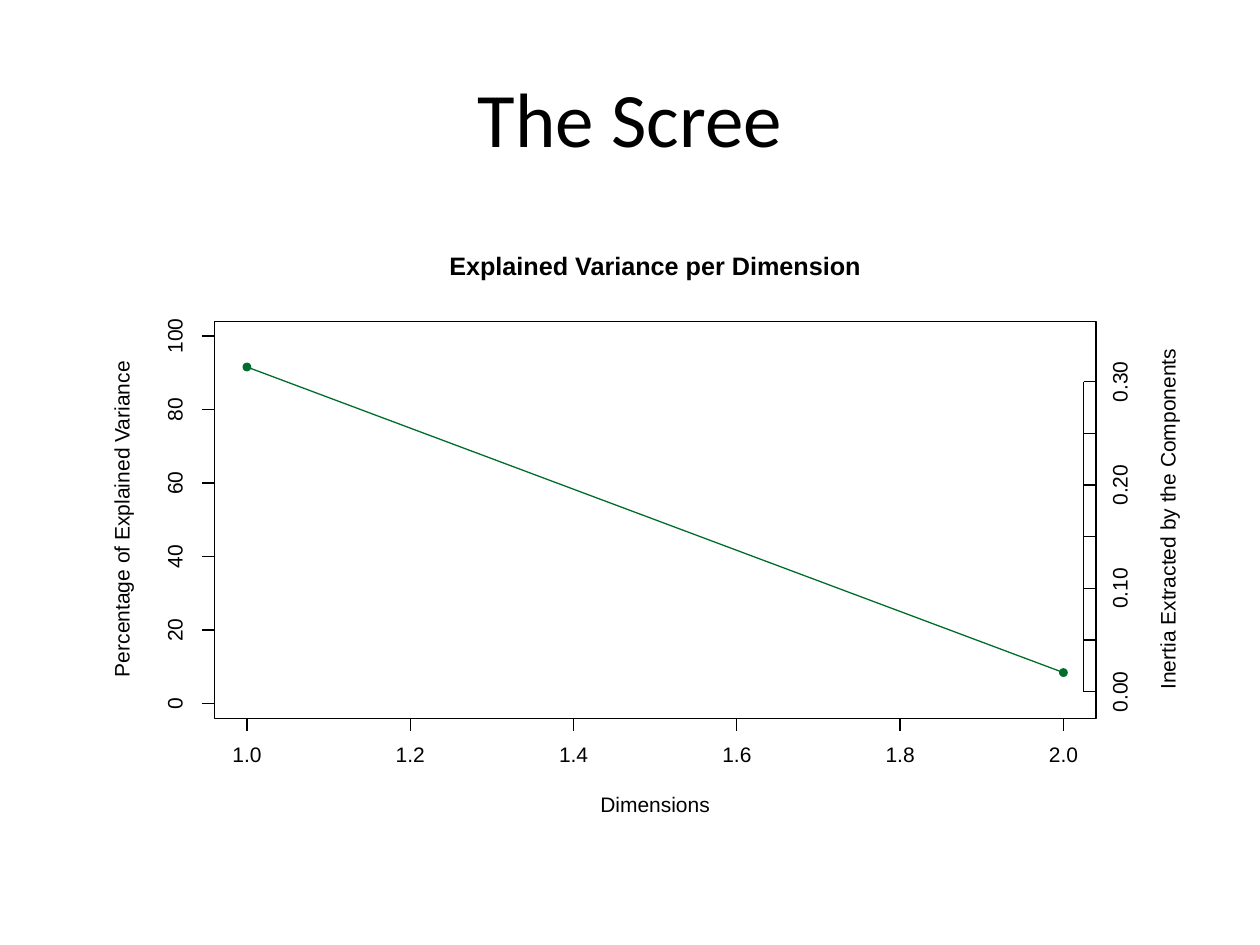
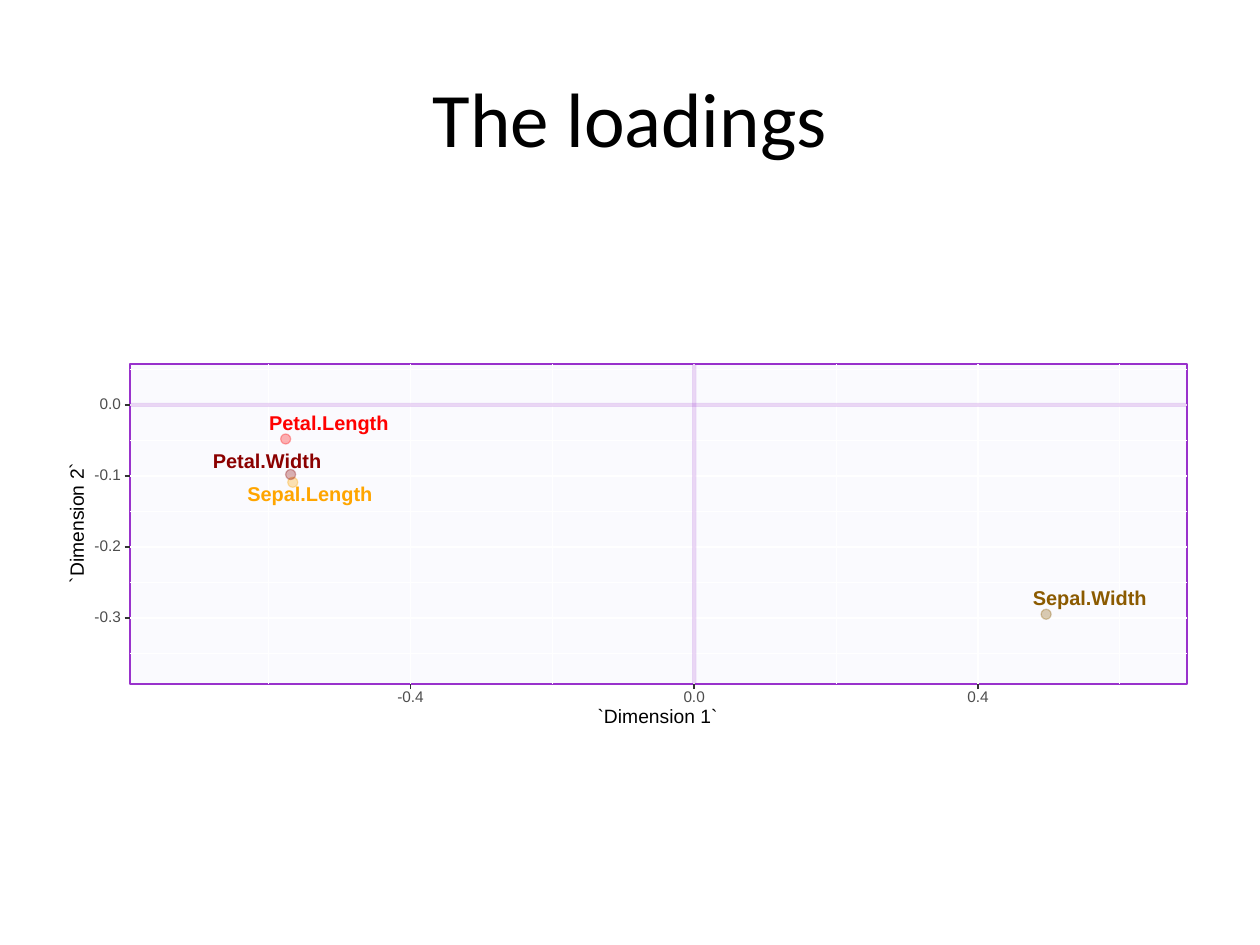
import pptx
import pptx.dml.color
import pptx.enum.shapes
import pptx.enum.text
import pptx.oxml.ns
import pptx.util
import lxml.etree

SCALE = 9144  # EMU in one px, 100 px to the inch
SLACK = 6  # spare px in a label's width, so that it stays on one line
BLACK, WHITE = "000000", "FFFFFF"
GREEN, PURPLE, PALE = "006D2C", "9932CC", "E6E6FA"
GREY, DARK = "4D4D4D", "333333"
SHAPE = pptx.enum.shapes.MSO_SHAPE
ALIGN = pptx.enum.text.PP_ALIGN
ANCHOR = pptx.enum.text.MSO_ANCHOR


# Units and colours
def px(num):
    return pptx.util.Emu(round(num * SCALE))


def color(code):
    return pptx.dml.color.RGBColor.from_string(code)


def fade(part, share):
    """Make every colour inside part show at the given percent."""
    for node in part.iter(pptx.oxml.ns.qn("a:srgbClr")):
        alpha = lxml.etree.SubElement(node, pptx.oxml.ns.qn("a:alpha"))
        alpha.set("val", str(share * 1000))


# Kinds of element
def write(para, text, size, code, bold=False, font="Arial"):
    run = para.add_run()
    run.text = text
    run.font.size = pptx.util.Pt(size)
    run.font.name = font
    run.font.bold = bold
    run.font.color.rgb = color(code)


def start(deck, text):
    """Add a slide with its title."""
    slide = deck.slides.add_slide(deck.slide_layouts[5])
    title = slide.shapes.title
    title.left, title.top, title.width, title.height = map(px, (50, 30, 900, 125))
    title.text_frame.vertical_anchor = ANCHOR.MIDDLE
    para = title.text_frame.paragraphs[0]
    para.alignment = ALIGN.CENTER
    write(para, text, 44, BLACK, font="Calibri")
    return slide


def label(slide, mid, wide, text, size, code=BLACK, bold=False, turn=0, high=12):
    """Put one line of text round the point mid."""
    wide += SLACK
    box = slide.shapes.add_textbox(px(mid[0] - wide / 2), px(mid[1] - high / 2),
                                   px(wide), px(high))
    box.rotation = turn
    frame = box.text_frame
    frame.word_wrap = False
    frame.vertical_anchor = ANCHOR.MIDDLE
    frame.margin_left = frame.margin_right = 0
    frame.margin_top = frame.margin_bottom = 0
    para = frame.paragraphs[0]
    para.alignment = ALIGN.CENTER
    para.line_spacing = pptx.util.Pt(size)
    write(para, text, size, code, bold)


def span(text, size):
    """Width of a number in px, from the widths of Arial."""
    ems = sum({".": 0.278, "-": 0.333}.get(sign, 0.556) for sign in text)
    return ems * size * 100 / 72


def line(slide, head, tail, code=BLACK, width=0.75, share=100):
    link = slide.shapes.add_connector(pptx.enum.shapes.MSO_CONNECTOR.STRAIGHT,
                                      px(head[0]), px(head[1]), px(tail[0]), px(tail[1]))
    link.line.color.rgb = color(code)
    link.line.width = pptx.util.Pt(width)
    props = link._element.spPr
    lxml.etree.SubElement(props, pptx.oxml.ns.qn("a:effectLst"))
    if share < 100:
        fade(props, share)


def paint(slide, kind, area, fill=None, edge=None, width=0.75):
    shape = slide.shapes.add_shape(kind, *map(px, area))
    shape.shadow.inherit = False
    if fill:
        shape.fill.solid()
        shape.fill.fore_color.rgb = color(fill)
    else:
        shape.fill.background()
    if edge:
        shape.line.color.rgb = color(edge)
        shape.line.width = pptx.util.Pt(width)
    else:
        shape.line.fill.background()
    return shape


def dot(slide, mid, size, fill, edge=None, width=0.75):
    area = (mid[0] - size / 2, mid[1] - size / 2, size, size)
    return paint(slide, SHAPE.OVAL, area, fill, edge, width)


def across(slide, area, spot, **style):
    line(slide, (area[0], spot), (area[0] + area[2], spot), **style)


def upright(slide, area, spot, **style):
    line(slide, (spot, area[1] + area[3]), (spot, area[1]), **style)


# Scree slide
def scree(deck):
    slide = start(deck, "The Scree")
    left, top, wide, high = area = (170, 255, 700, 315)
    right, foot, tick = left + wide, top + high, 10

    def place(dim, share):
        return 196 + 648 * (dim - 1), 558.3 - 2.915 * share

    # Curve
    points = [place(1, 91.6), place(2, 8.4)]
    line(slide, *points, code=GREEN)
    for point in points:
        dot(slide, point, 7, GREEN)

    # Dimension axis
    line(slide, (place(1, 0)[0], foot), (place(2, 0)[0], foot))
    for step in range(6):
        dim = 1 + step / 5
        spot = place(dim, 0)[0]
        text = f"{dim:.1f}"
        line(slide, (spot, foot), (spot, foot + tick))
        label(slide, (spot, 600), span(text, 12), text, 12)

    # Percentage axis
    line(slide, (left, place(1, 0)[1]), (left, place(1, 100)[1]))
    for share in range(0, 101, 20):
        spot = place(1, share)[1]
        text = str(share)
        line(slide, (left, spot), (left - tick, spot))
        label(slide, (140, spot), span(text, 12), text, 12, turn=270)

    # Inertia axis, with a number at every other tick
    base, gap = 549, 41
    line(slide, (right - tick, base), (right - tick, base - 6 * gap))
    for step in range(7):
        spot = base - step * gap
        line(slide, (right - tick, spot), (right, spot))
        if step % 2 == 0:
            text = f"{step / 20:.2f}"
            label(slide, (890, spot), span(text, 12), text, 12, turn=270)

    # Frame and names
    paint(slide, SHAPE.RECTANGLE, area, edge=BLACK)
    label(slide, (520, 213), 328, "Explained Variance per Dimension", 14.4,
          bold=True, high=19)
    label(slide, (520, 640), 87, "Dimensions", 12)
    for spot, size, text in ((98, 252, "Percentage of Explained Variance"),
                             (928, 271, "Inertia Extracted by the Components")):
        label(slide, (spot, 412), size, text, 12, turn=270, high=16)


# Loadings slide
def loads(deck):
    slide = start(deck, "The loadings")
    left, top, wide, high = area = (103, 289, 839, 254)
    foot, tick = top + high, 4

    def place(one, two):
        return 551 + 563 * one, 321.4 - 563 * two

    # Panel and grid
    panel = paint(slide, SHAPE.RECTANGLE, area, PALE, PURPLE, 1.07)
    fade(panel.fill._xPr.find(pptx.oxml.ns.qn("a:solidFill")), 20)
    rows, cols = (-0.3, -0.2, -0.1, 0.0), (-0.4, 0.0, 0.4)
    fine_rows = [0.05 - step / 10 for step in range(5)]
    fine_cols = [-0.6 + step * 0.4 for step in range(4)]
    for ups, sides, width in ((fine_rows, fine_cols, 0.53), (rows, cols, 1.07)):
        for two in ups:
            across(slide, area, place(0, two)[1], code=WHITE, width=width)
        for one in sides:
            upright(slide, area, place(one, 0)[0], code=WHITE, width=width)
    zero = place(0, 0)
    across(slide, area, zero[1], code=PURPLE, width=2.35, share=20)
    upright(slide, area, zero[0], code=PURPLE, width=2.35, share=20)

    # Variables: name, loadings, colour, centre and width of the name
    items = (
        ("Sepal.Length", (-0.566, -0.109), "FFA500", (246, 393), 99),
        ("Sepal.Width", (0.496, -0.295), "8B5A00", (865, 476), 90),
        ("Petal.Length", (-0.576, -0.048), "FF0000", (261, 337), 95),
        ("Petal.Width", (-0.569, -0.098), "8B0000", (212, 367), 86),
    )
    for name, load, code, mid, size in items:
        mark = dot(slide, place(*load), 8, code, code, 0.71)
        fade(mark._element.spPr, 30)
    for name, load, code, mid, size in items:
        label(slide, mid, size, name, 11.4, code, bold=True, high=15)

    # Ticks and numbers
    for two in rows:
        spot, text = place(0, two)[1], f"{two:.1f}"
        size = span(text, 8.8)
        line(slide, (left - tick, spot), (left, spot), DARK, 1.07)
        label(slide, (96 - size / 2, spot), size, text, 8.8, GREY, high=9)
    for one in cols:
        spot, text = place(one, 0)[0], f"{one:.1f}"
        line(slide, (spot, foot + tick), (spot, foot), DARK, 1.07)
        label(slide, (spot, 554), span(text, 8.8), text, 8.8, GREY, high=9)

    # Axis names
    label(slide, (522, 570), 95, "`Dimension 1`", 11, high=11)
    label(slide, (62, 415), 95, "`Dimension 2`", 11, turn=270, high=11)


def main():
    deck = pptx.Presentation()
    deck.slide_width, deck.slide_height = px(1000), px(750)
    scree(deck)
    loads(deck)
    deck.save("out.pptx")


if __name__ == "__main__":
    main()
